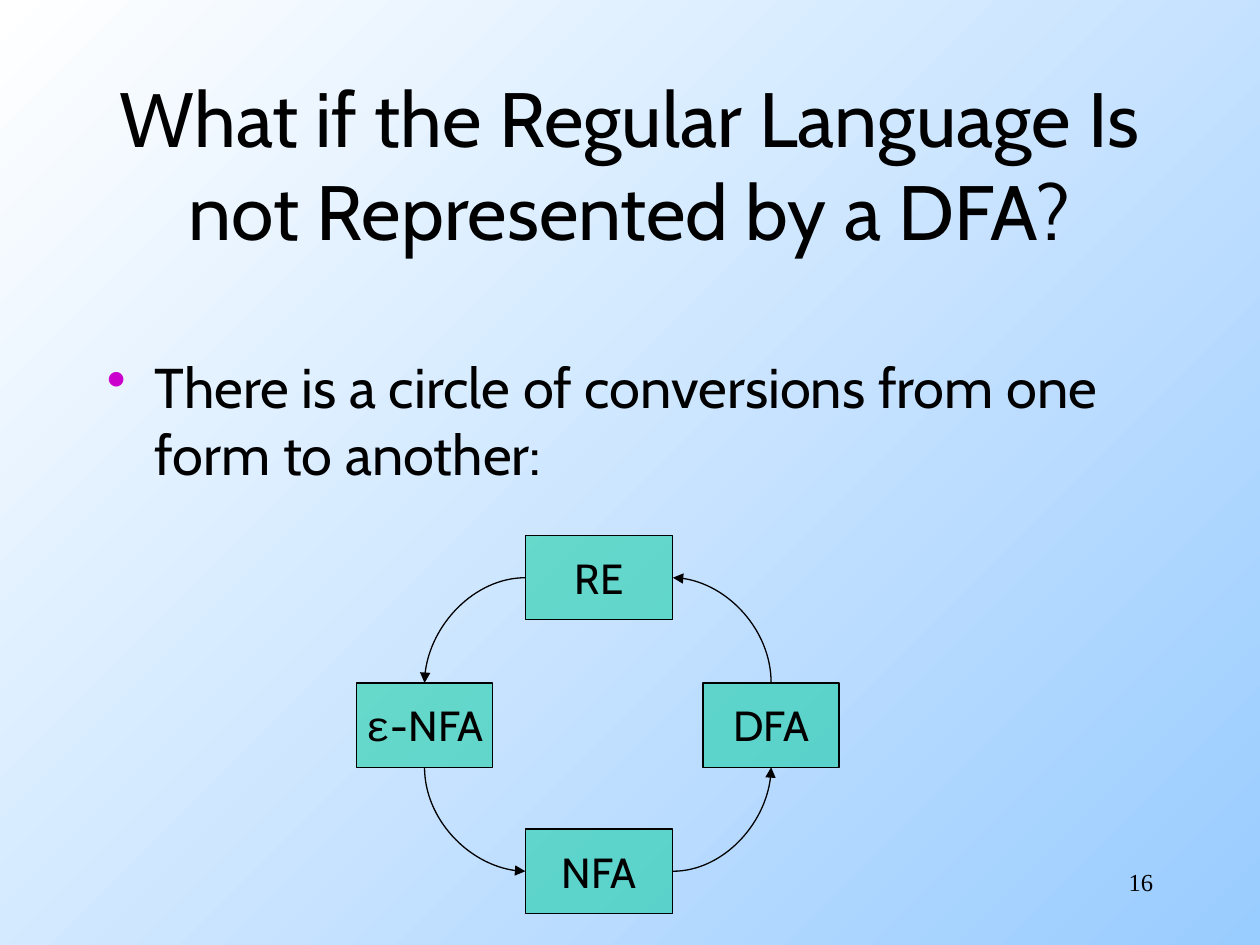
from lxml.etree import SubElement
from pptx import Presentation
from pptx.dml.color import RGBColor
from pptx.enum.shapes import MSO_CONNECTOR, MSO_SHAPE
from pptx.enum.text import MSO_ANCHOR, PP_ALIGN
from pptx.oxml.ns import qn
from pptx.util import Inches, Pt

COLORS = {"black": "000000", "teal": "00CC99", "bullet": "CC00CC",
          "blue": "99CCFF", "white": "FFFFFF"}
FONT = "Cabin"
TITLE = "What if the Regular Language Is not Represented by a DFA?"
BODY = "There is a circle of conversions from one form to another:"
NUMBER = "16"

# name: (left, top, width, runs of text and font)
BOXES = {
    "RE": (4.17, 4.25, 1.17, [("RE", FONT)]),
    "DFA": (5.58, 5.42, 1.08, [("DFA", FONT)]),
    "NFA": (4.17, 6.58, 1.17, [("NFA", FONT)]),
    "ε-NFA": (2.83, 5.42, 1.08, [("ε", "Courier New"), ("-NFA", FONT)]),
}
BOX_H = 0.67
TOP, LEFT, BOTTOM, RIGHT = range(4)
# Each curve leaves the first box sideways; the arrowhead is at its head or tail.
CURVES = [
    ("RE", RIGHT, "DFA", TOP, "headEnd"),
    ("RE", LEFT, "ε-NFA", TOP, "tailEnd"),
    ("NFA", LEFT, "ε-NFA", BOTTOM, "headEnd"),
    ("NFA", RIGHT, "DFA", BOTTOM, "tailEnd"),
]


def rgb(name):
    return RGBColor.from_string(COLORS[name])


def write(shape, runs, size, align=PP_ALIGN.LEFT, anchor=MSO_ANCHOR.TOP, wrap=True):
    """Fill the shape with one paragraph of (text, font) runs and return it."""
    frame = shape.text_frame
    frame.word_wrap = wrap
    frame.vertical_anchor = anchor
    para = frame.paragraphs[0]
    para.alignment = align
    for text, font in runs:
        run = para.add_run()
        run.text = text
        run.font.name = font
        run.font.size = Pt(size)
        run.font.color.rgb = rgb("black")
    return para


def add_bullet(para, indent):
    props = para._p.get_or_add_pPr()
    props.set("marL", str(indent))
    props.set("indent", str(-indent))
    color = SubElement(props, qn("a:buClr"))
    SubElement(color, qn("a:srgbClr"), val=COLORS["bullet"])
    SubElement(props, qn("a:buChar"), char="•")


def add_box(slide, left, top, width, runs):
    box = slide.shapes.add_shape(MSO_SHAPE.RECTANGLE, Inches(left), Inches(top),
                                 Inches(width), Inches(BOX_H))
    box.shadow.inherit = False
    box.fill.solid()
    box.fill.fore_color.rgb = rgb("teal")
    shade = box._element.spPr.find(qn("a:solidFill"))[0]
    SubElement(shade, qn("a:alpha"), val="50000")
    box.line.color.rgb = rgb("black")
    box.line.width = Pt(0.75)
    write(box, runs, 24, align=PP_ALIGN.CENTER, anchor=MSO_ANCHOR.MIDDLE, wrap=False)
    return box


def add_curve(slide, start, out, end, into, arrow):
    curve = slide.shapes.add_connector(MSO_CONNECTOR.CURVE, 0, 0, 0, 0)
    curve.begin_connect(start, out)
    curve.end_connect(end, into)
    curve.line.color.rgb = rgb("black")
    curve.line.width = Pt(0.75)
    props = curve._element.spPr
    props.find(qn("a:prstGeom")).set("prst", "curvedConnector2")
    SubElement(props.find(qn("a:ln")), qn("a:" + arrow), type="triangle")
    SubElement(props, qn("a:effectLst"))


def main():
    deck = Presentation()
    deck.slide_width, deck.slide_height = Inches(10), Inches(7.5)
    slide = deck.slides.add_slide(deck.slide_layouts[6])

    back = slide.background.fill
    back.gradient()
    back.gradient_angle = 135
    for stop, name in zip(back.gradient_stops, ("blue", "white")):
        stop.color.rgb = rgb(name)

    def area(*place):
        return slide.shapes.add_textbox(*map(Inches, place))

    write(area(7.17, 6.83, 2.08, 0.5), [(NUMBER, "Times New Roman")], 14,
          align=PP_ALIGN.RIGHT)
    write(area(0.75, 0.67, 8.5, 1.25), [(TITLE, FONT)], 44,
          align=PP_ALIGN.CENTER, anchor=MSO_ANCHOR.MIDDLE)
    body = write(area(0.75, 2.75, 8.5, 3.92), [(BODY, FONT)], 32)
    body.space_before = Pt(8)
    add_bullet(body, Inches(0.38))

    boxes = {name: add_box(slide, *spec) for name, spec in BOXES.items()}
    for start, out, end, into, arrow in CURVES:
        add_curve(slide, boxes[start], out, boxes[end], into, arrow)
    deck.save("out.pptx")


if __name__ == "__main__":
    main()
